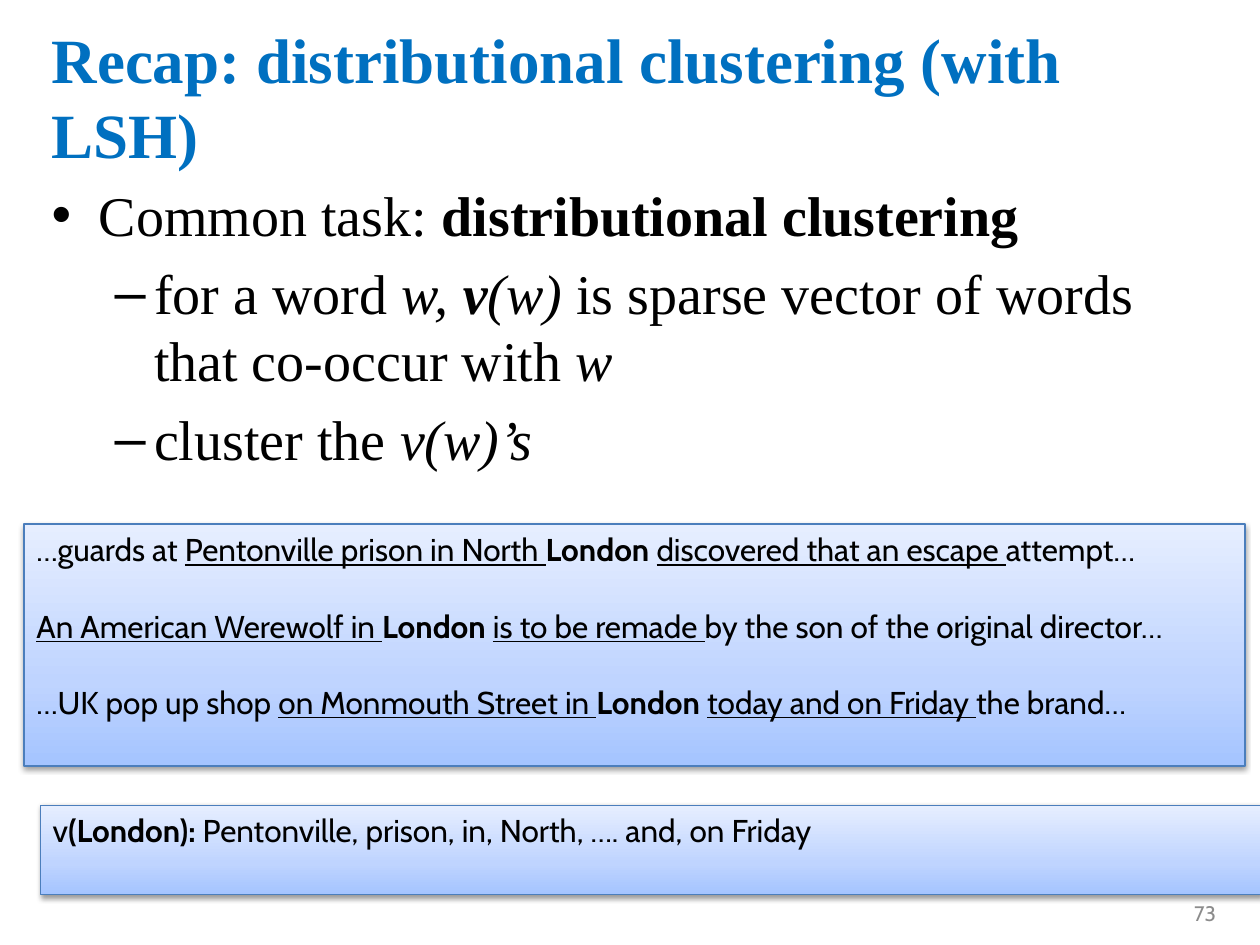
from lxml import etree
from pptx import Presentation
from pptx import util as u
from pptx.dml.color import RGBColor
from pptx.enum import shapes, text
from pptx.oxml import parse_xml
from pptx.oxml.ns import qn

COLORS = {
    "heading": "0070C0", "ink": "000000", "outline": "4B7EBC", "number": "8C8C8C",
    "panel_bottom": "A4C4FF", "panel_middle": "BFD4FF", "panel_top": "E6EEFF",
}
SERIF, SANS = "Times New Roman", "Cabin"
COLUMNS, ROWS = 100, 75
DRAWING_NS = "http://schemas.openxmlformats.org/drawingml/2006/main"


def write_runs(paragraph, runs, font=SANS, size=18, color="ink"):
    """Add runs given as (wording, flags), with flags from b, i and u."""
    for wording, flags in runs:
        run = paragraph.add_run()
        run.text = wording
        run.font.name, run.font.size = font, u.Pt(size)
        run.font.color.rgb = RGBColor.from_string(COLORS[color])
        run.font.bold, run.font.italic = "b" in flags, "i" in flags
        run.font.underline = "u" in flags


class SlideBuilder:
    """Places elements on a slide divided into COLUMNS by ROWS."""

    def __init__(self, deck):
        self.column = deck.slide_width / COLUMNS
        self.row = deck.slide_height / ROWS
        self.slide = deck.slides.add_slide(deck.slide_layouts[1])

    def area(self, left, top, width, height):
        return [round(n * unit) for n, unit in
                zip((left, top, width, height), (self.column, self.row) * 2)]

    def fill_placeholder(self, index, area):
        holder = self.slide.placeholders[index]
        holder.left, holder.top, holder.width, holder.height = self.area(*area)
        holder.text_frame.auto_size = text.MSO_AUTO_SIZE.NONE
        return holder.text_frame

    def title(self, wording, area):
        heading = self.fill_placeholder(0, area).paragraphs[0]
        heading.alignment = text.PP_ALIGN.LEFT
        write_runs(heading, [(wording, "b")], SERIF, 36, "heading")

    def bullets(self, items, area):
        """Fill the body with (level, runs) items."""
        frame = self.fill_placeholder(1, area)
        for number, (level, runs) in enumerate(items):
            item = frame.add_paragraph() if number else frame.paragraphs[0]
            item.level = level
            if not number:
                item.space_before = u.Pt(0)
            write_runs(item, runs, SERIF, 32)

    def panel(self, lines, area, gap=22):
        """Draw a shaded, shadowed box with one paragraph per line."""
        box = self.slide.shapes.add_shape(shapes.MSO_SHAPE.RECTANGLE, *self.area(*area))
        box.line.color.rgb = RGBColor.from_string(COLORS["outline"])
        box.line.width = u.Pt(0.75)
        self.shade(box)
        self.cast_shadow(box)
        frame = box.text_frame
        frame.word_wrap = True
        frame.vertical_anchor = text.MSO_ANCHOR.TOP
        for number, runs in enumerate(lines):
            line = frame.add_paragraph() if number else frame.paragraphs[0]
            line.alignment = text.PP_ALIGN.LEFT
            line.space_before = u.Pt(gap if number else 0)
            write_runs(line, runs)

    def shade(self, box):
        box.fill.gradient()
        box.fill.gradient_angle = 90
        stops = box.element.spPr.find(qn("a:gradFill")).find(qn("a:gsLst"))
        for stop in list(stops):
            stops.remove(stop)
        for share, name in ((0, "panel_bottom"), (35, "panel_middle"), (100, "panel_top")):
            stop = etree.SubElement(stops, qn("a:gs"), pos=str(share * 1000))
            etree.SubElement(stop, qn("a:srgbClr"), val=COLORS[name])

    def cast_shadow(self, box):
        box.shadow.inherit = False
        box.element.spPr.find(qn("a:effectLst")).append(parse_xml(
            f'<a:outerShdw xmlns:a="{DRAWING_NS}" blurRad="{u.Pt(3.1)}" '
            f'dist="{u.Pt(1.6)}" dir="5400000" rotWithShape="0">'
            f'<a:srgbClr val="{COLORS["ink"]}"><a:alpha val="38000"/></a:srgbClr>'
            '</a:outerShdw>'))

    def page_number(self, number, area):
        frame = self.slide.shapes.add_textbox(*self.area(*area)).text_frame
        frame.word_wrap = True
        frame.vertical_anchor = text.MSO_ANCHOR.MIDDLE
        frame.paragraphs[0].alignment = text.PP_ALIGN.RIGHT
        write_runs(frame.paragraphs[0], [(number, "")], size=12, color="number")


def london_line(start, before, after, end):
    """Underline the context words on both sides of the target word."""
    runs = [(start, ""), (before, "u"), ("London ", "b"), (after, "u"), (end, "")]
    return [run for run in runs if run[0]]


def main():
    deck = Presentation()
    deck.slide_width, deck.slide_height = u.Inches(10), u.Inches(7.5)
    page = SlideBuilder(deck)
    page.title("Recap: distributional clustering (with LSH)", (3.1, 3.2, 94.6, 8.8))
    page.bullets([
        (0, [("Common task: ", ""), ("distributional clustering", "b")]),
        (1, [("for a word ", ""), ("w, ", "i"), ("v", "bi"), ("(w) ", "i"),
             ("is sparse vector of words that co-occur with ", ""), ("w", "i")]),
        (1, [("cluster the ", ""), ("v(w)’s", "i")]),
    ], (3.1, 13.8, 94.6, 26.1))
    page.panel([
        london_line("…guards at ", "Pentonville prison in North ",
                    "discovered that an escape ", "attempt…"),
        london_line("", "An American Werewolf in ", "is to be remade ",
                    "by the son of the original director…"),
        london_line("…UK pop up shop ", "on Monmouth Street in ",
                    "today and on Friday ", "the brand…"),
    ], (1.9, 41.6, 96.9, 19.2))
    page.panel([[("v", ""), ("(London): ", "b"),
                 ("Pentonville, prison, in, North, …. and, on Friday", "")]],
               (3.2, 63.9, 96.9, 7.1))
    page.page_number("73", (74.2, 70.5, 23.3, 4))
    deck.save("out.pptx")


if __name__ == "__main__":
    main()
